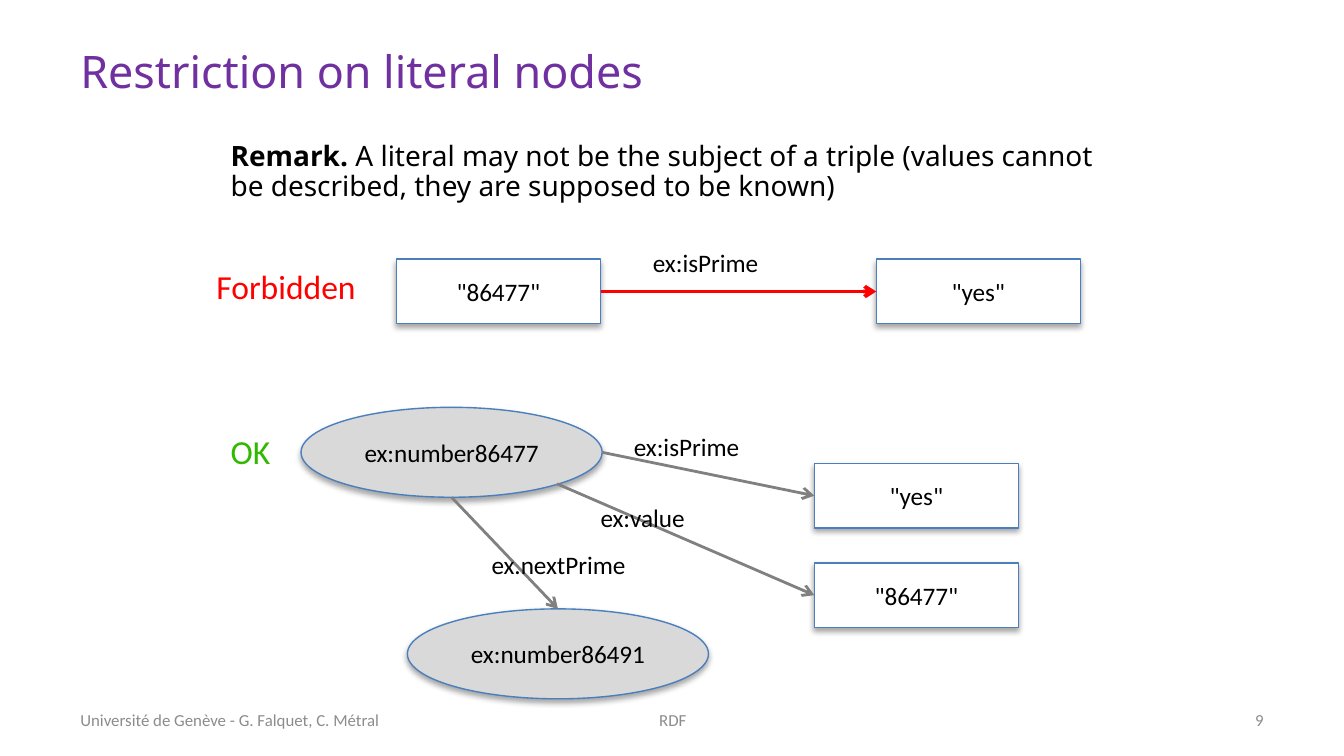
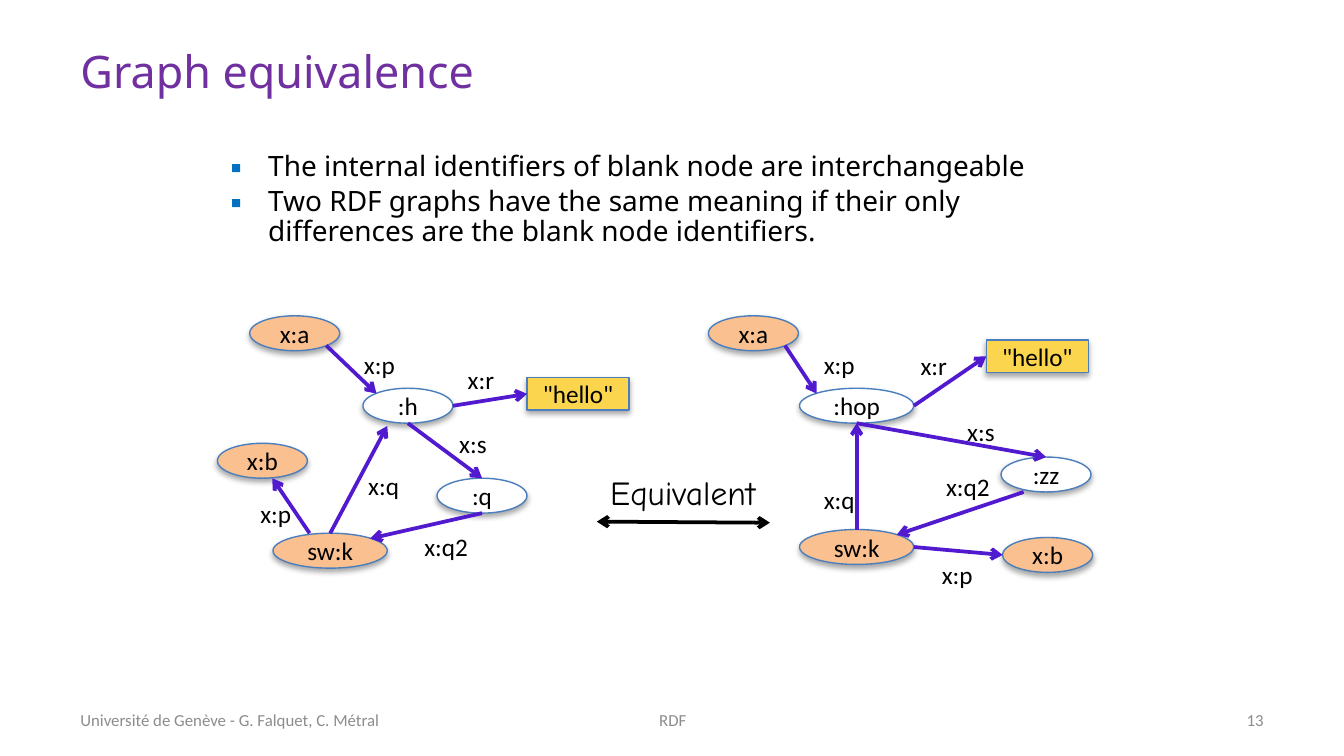
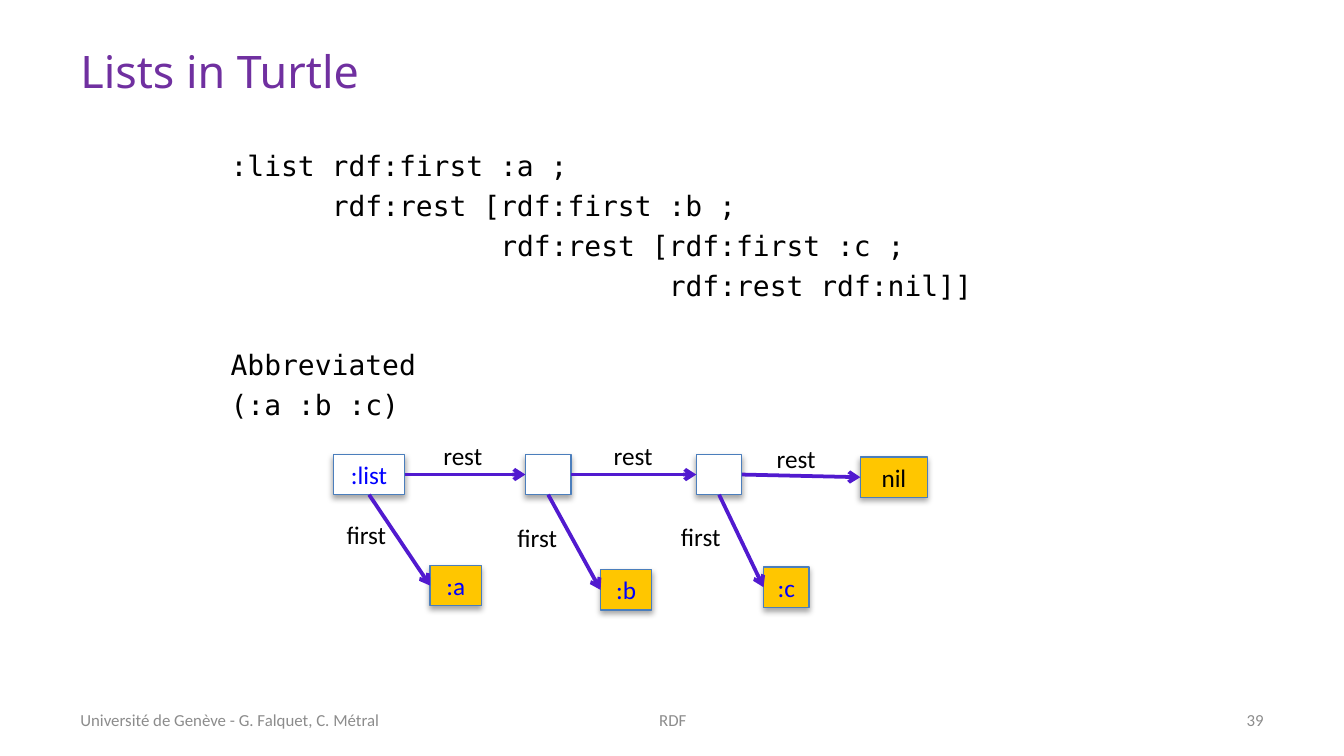
from lxml.etree import SubElement
from pptx import Presentation
from pptx.dml.color import RGBColor
from pptx.enum.shapes import MSO_CONNECTOR, MSO_SHAPE
from pptx.enum.text import MSO_ANCHOR, MSO_AUTO_SIZE, PP_ALIGN
from pptx.oxml.ns import qn
from pptx.util import Cm, Pt

COLORS = {
    "title": "7030A0", "text": "000000", "footer": "8C8C8C", "bullet": "0070C0",
    "outline": "4B7EBC", "white": "FFFFFF", "grey": "D9D9D9", "orange": "FAC090",
    "yellow": "FBD54D", "gold": "FFC600", "blue": "0000FF", "violet": "511ACF",
    "line grey": "808080", "forbidden": "FF0000", "ok": "31B800",
}
N, S, W, E = (0.5, 0), (0.5, 1), (0, 0.5), (1, 0.5)
NW, NE, SE = (0.15, 0.15), (0.85, 0.15), (0.85, 0.85)


class Deck:
    """Holds the shared style and the slide being drawn."""

    sans, label_font, mono, hand = "Noto Sans", "Calibri", "DejaVu Sans Mono", "Comic Neue"

    def __init__(self):
        self.presentation = Presentation()
        self.presentation.slide_width = Cm(25.4)
        self.presentation.slide_height = Cm(14.29)

    def new_slide(self, title, number):
        self.slide = self.presentation.slides.add_slide(self.presentation.slide_layouts[6])
        self.text(title, 1.27, 0.58, 22.86, 1.52, 24, self.sans, "title")
        footers = [
            ("Université de Genève - G. Falquet, C. Métral", 1.27, 7.42, PP_ALIGN.LEFT),
            ("RDF", 8.69, 8.05, PP_ALIGN.CENTER),
            (str(number), 18.21, 5.92, PP_ALIGN.RIGHT),
        ]
        for words, left, width, align in footers:
            self.text(words, left, 13.23, width, 0.76, 9, self.label_font, "footer", align)

    def style(self, paragraph, size, font, color, align=PP_ALIGN.LEFT):
        paragraph.alignment = align
        for run in paragraph.runs:
            run.font.size = Pt(size)
            run.font.name = font
            run.font.color.rgb = RGBColor.from_string(COLORS[color])

    def text(self, words, left, top, width, height, size, font, color, align=PP_ALIGN.LEFT):
        box = self.slide.shapes.add_textbox(Cm(left), Cm(top), Cm(width), Cm(height))
        frame = box.text_frame
        frame.word_wrap = True
        frame.vertical_anchor = MSO_ANCHOR.MIDDLE
        frame.text = words
        for paragraph in frame.paragraphs:
            self.style(paragraph, size, font, color, align)
        return frame

    def body(self, lines, height, font=sans, leading=0.9, before=2.5):
        frame = self.text("\n".join(lines), 4.11, 2.59, 17.15, height, 15, font, "text")
        for paragraph in frame.paragraphs:
            paragraph.line_spacing = leading
            paragraph.space_before = Pt(before)
        return frame

    def indent(self, paragraph, left, hanging=0):
        properties = paragraph._p.get_or_add_pPr()
        properties.set("marL", str(Cm(left)))
        properties.set("indent", str(-Cm(hanging)))
        return properties

    def bullet(self, paragraph):
        properties = self.indent(paragraph, 0.71, 0.71)
        tint = SubElement(properties, qn("a:buClr"))
        SubElement(tint, qn("a:srgbClr"), val=COLORS["bullet"])
        SubElement(properties, qn("a:buFont"), typeface=self.sans)
        SubElement(properties, qn("a:buChar"), char="▪")

    def label(self, words, left, top, width, size=13.5, color="text", font=label_font):
        height = 0.84 if size < 18 else 1.02
        frame = self.text(words, left, top, width, height, size, font, color)
        frame.word_wrap = False
        frame.vertical_anchor = MSO_ANCHOR.TOP
        frame.auto_size = MSO_AUTO_SIZE.SHAPE_TO_FIT_TEXT

    def node(self, words, left, top, width, height, fill="white", oval=False, color="text"):
        preset = MSO_SHAPE.OVAL if oval else MSO_SHAPE.RECTANGLE
        node = self.slide.shapes.add_shape(preset, Cm(left), Cm(top), Cm(width), Cm(height))
        node.fill.solid()
        node.fill.fore_color.rgb = RGBColor.from_string(COLORS[fill])
        node.line.color.rgb = RGBColor.from_string(COLORS["outline"])
        node.line.width = Pt(0.75)
        node.shadow.inherit = False
        effects = node._element.spPr.find(qn("a:effectLst"))
        shadow = SubElement(effects, qn("a:outerShdw"), blurRad=str(Pt(3.1)), dist=str(Pt(1.8)),
                            dir="5400000", rotWithShape="0")
        tint = SubElement(shadow, qn("a:srgbClr"), val=COLORS["text"])
        SubElement(tint, qn("a:alpha"), val="35000")
        if words:
            node.text_frame.text = words
            node.text_frame.word_wrap = False
            node.text_frame.vertical_anchor = MSO_ANCHOR.MIDDLE
            self.style(node.text_frame.paragraphs[0], 13.5, self.label_font, color,
                       PP_ALIGN.CENTER)
        return node

    def arrow(self, start, end, color, width=2, ends=("tailEnd",)):
        arrow = self.slide.shapes.add_connector(MSO_CONNECTOR.STRAIGHT, *start, *end)
        arrow.line.color.rgb = RGBColor.from_string(COLORS[color])
        arrow.line.width = Pt(width)
        properties = arrow._element.spPr
        for tip in ends:
            SubElement(properties.find(qn("a:ln")), qn("a:" + tip), type="arrow")
        SubElement(properties, qn("a:effectLst"))

    def link(self, subject, leaving, target, entering, color="violet", width=2):
        start, end = (
            (int(node.left + node.width * x), int(node.top + node.height * y))
            for node, (x, y) in ((subject, leaving), (target, entering))
        )
        self.arrow(start, end, color, width)


def literal_slide(deck):
    """Draw the rule on literals as subjects."""
    deck.new_slide("Restriction on literal nodes", 9)
    frame = deck.body(["Remark. "], 1.96)
    frame.margin_bottom = Cm(0.74)
    remark = frame.paragraphs[0]
    remark.add_run().text = ("A literal may not be the subject of a triple (values cannot "
                             "be described, they are supposed to be known)")
    deck.style(remark, 15, deck.sans, "text")
    remark.runs[0].font.bold = True

    def literal(words, left, top):
        return deck.node(words, left, top, 3.86, 1.22)

    def resource(words, left, top):
        return deck.node(words, left, top, 5.69, 1.7, "grey", True)

    deck.link(literal('"86477"', 7.49, 4.9), E, literal('"yes"', 16.56, 4.9), W, "forbidden")
    number = resource("ex:number86477", 5.69, 7.7)
    for leaving, target, entering in [
        (E, literal('"yes"', 15.39, 8.76), W),
        (SE, literal('"86477"', 15.39, 10.64), W),
        (S, resource("ex:number86491", 7.7, 11.51), N),
    ]:
        deck.link(number, leaving, target, entering, "line grey", 1.5)
    deck.label("Forbidden", 3.84, 4.9, 3.18, 18, "forbidden")
    deck.label("OK", 4.11, 8.03, 1.27, 18, "ok")
    for predicate, left, top, width in [
        ("ex:isPrime", 12.09, 4.55, 2.54), ("ex:isPrime", 11.73, 8.03, 2.54),
        ("ex:value", 11.1, 9.37, 2.13), ("ex.nextPrime", 9.04, 10.26, 3.1),
    ]:
        deck.label(predicate, left, top, width)


def equivalence_slide(deck):
    """Draw two graphs that differ only in their blank nodes."""
    deck.new_slide("Graph equivalence", 13)
    frame = deck.body([
        "The internal identifiers of blank node are interchangeable",
        "Two RDF graphs have the same meaning if their only differences are the blank node "
        "identifiers.",
    ], 2.39)
    for paragraph in frame.paragraphs:
        deck.bullet(paragraph)

    label_widths = {"x:p": 1.12, "x:q": 1.12, "x:r": 1.02, "x:s": 1.04, "x:q2": 1.35}
    graphs = [
        (
            [("x:a", 4.72, 5.97), (":h", 6.86, 7.34), ("x:b", 4.11, 8.38), (":q", 8.26, 9.04),
             ("sw:k", 5.16, 10.08), ('"hello"', 9.96, 7.14)],
            [("x:a", SE, ":h", NW, "x:p", 6.63, 6.48),
             (":h", S, ":q", N, "x:s", 8.43, 7.98),
             (":h", E, '"hello"', W, "x:r", 8.59, 6.76),
             ("sw:k", N, ":h", (0.27, 1.08), "x:q", 6.71, 8.76),
             ("sw:k", (0.32, 0), "x:b", (0.61, 1), "x:p", 4.67, 9.3),
             (":q", S, "sw:k", NE, "x:q2", 7.77, 9.91)],
        ),
        (
            [("x:a", 13.39, 5.97), (":hop", 15.11, 7.34), ("x:b", 18.95, 10.16),
             (":zz", 18.92, 8.64), ("sw:k", 15.11, 10.01), ('"hello"', 18.64, 6.43)],
            [("x:a", SE, ":hop", NW, "x:p", 15.32, 6.48),
             (":hop", S, ":zz", N, "x:s", 18.03, 7.75),
             (":hop", E, '"hello"', W, "x:r", 17.15, 6.5),
             ("sw:k", N, ":hop", S, "x:q", 15.32, 9.04),
             ("sw:k", E, "x:b", W, "x:p", 17.55, 10.44),
             (":zz", (0.25, 1), "sw:k", NE, "x:q2", 17.63, 8.79)],
        ),
    ]
    for places, triples in graphs:
        nodes = {}
        for name, left, top in places:
            if name.startswith('"'):
                nodes[name] = deck.node(name, left, top, 1.93, 0.61, "yellow")
            else:
                fill = "white" if name.startswith(":") else "orange"
                width = 2.16 if len(name) > 3 else 1.7
                nodes[name] = deck.node(name, left, top, width, 0.66, fill, True)
        for subject, leaving, target, entering, predicate, left, top in triples:
            deck.link(nodes[subject], leaving, nodes[target], entering)
            deck.label(predicate, left, top, label_widths[predicate])
    deck.label("Equivalent", 11.28, 8.79, 3.38, 18, font=deck.hand)
    deck.arrow((Cm(11.28), Cm(9.86)), (Cm(14.55), Cm(9.88)), "text",
               ends=("headEnd", "tailEnd"))


def list_slide(deck):
    """Draw a list as Turtle code and as a chain of cells."""
    deck.new_slide("Lists in Turtle", 39)
    code = [
        (":list rdf:first :a ;", 0), ("rdf:rest [rdf:first :b ;", 6),
        ("rdf:rest [rdf:first :c ;", 16), ("rdf:rest rdf:nil]]", 26),
        ("Abbreviated", 0), ("(:a :b :c)", 0),
    ]
    frame = deck.body([line for line, column in code], 5.59, deck.mono, 1.0, 3.5)
    for paragraph, (line, column) in zip(frame.paragraphs, code):
        deck.indent(paragraph, column * 0.3185)
    frame.paragraphs[4].space_before = Pt(24.5)

    cells = [
        deck.node(":list", 6.3, 8.59, 1.35, 0.76, color="blue"),
        deck.node("", 9.93, 8.59, 0.86, 0.76),
        deck.node("", 13.16, 8.59, 0.86, 0.76),
        deck.node("nil", 16.26, 8.64, 1.27, 0.76, "gold"),
    ]
    items = [(":a", 8.13, 10.69, 0.97), (":b", 11.35, 10.77, 0.97), (":c", 14.43, 10.72, 0.86)]
    rests = [(8.13, 8.2), (11.35, 8.2), (14.43, 8.26)]
    firsts = [(6.3, 9.7), (9.53, 9.75), (12.62, 9.73)]
    for cell, following, (name, left, top, width), rest, first in zip(
            cells, cells[1:], items, rests, firsts):
        item = deck.node(name, left, top, width, 0.76, "gold", color="blue")
        deck.link(cell, E, following, W)
        deck.link(cell, S, item, W)
        deck.label("rest", *rest, 1.27)
        deck.label("first", *first, 1.27)


def main():
    """Build the three slides and save them."""
    deck = Deck()
    literal_slide(deck)
    equivalence_slide(deck)
    list_slide(deck)
    deck.presentation.save("out.pptx")


if __name__ == "__main__":
    main()
